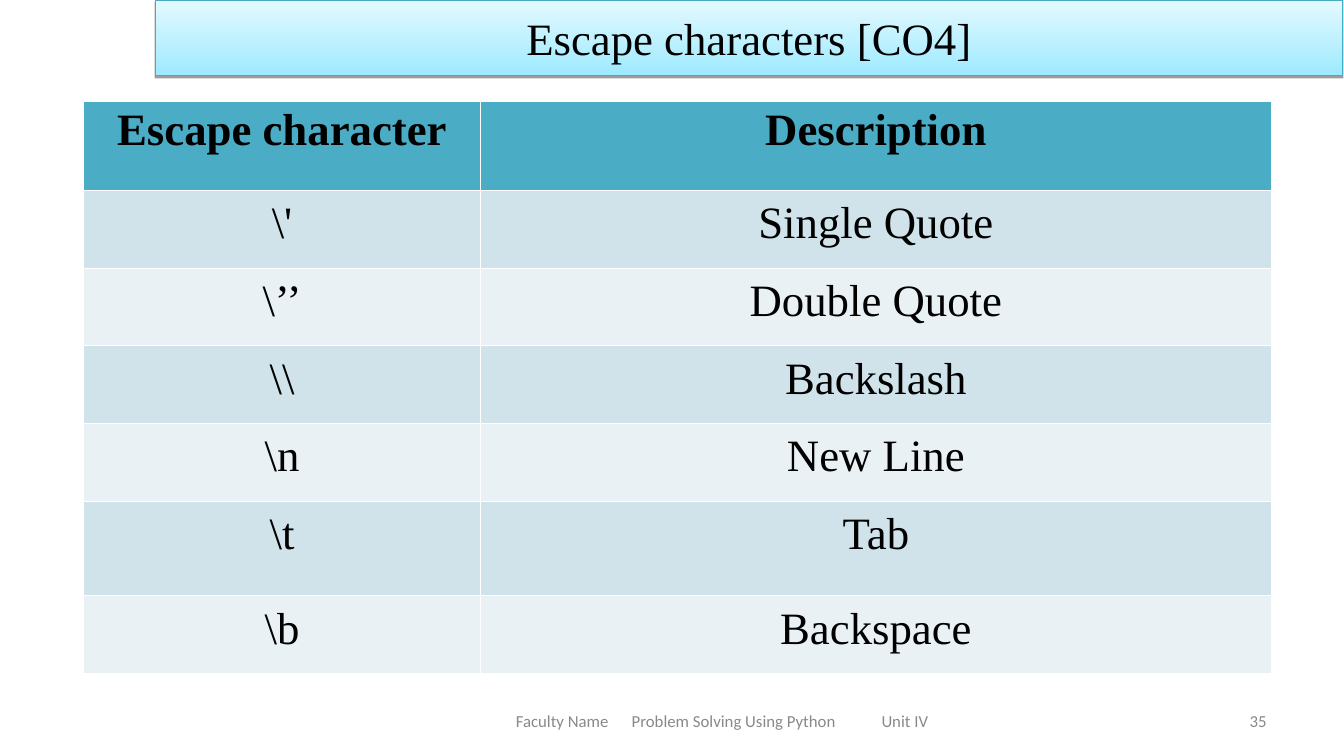
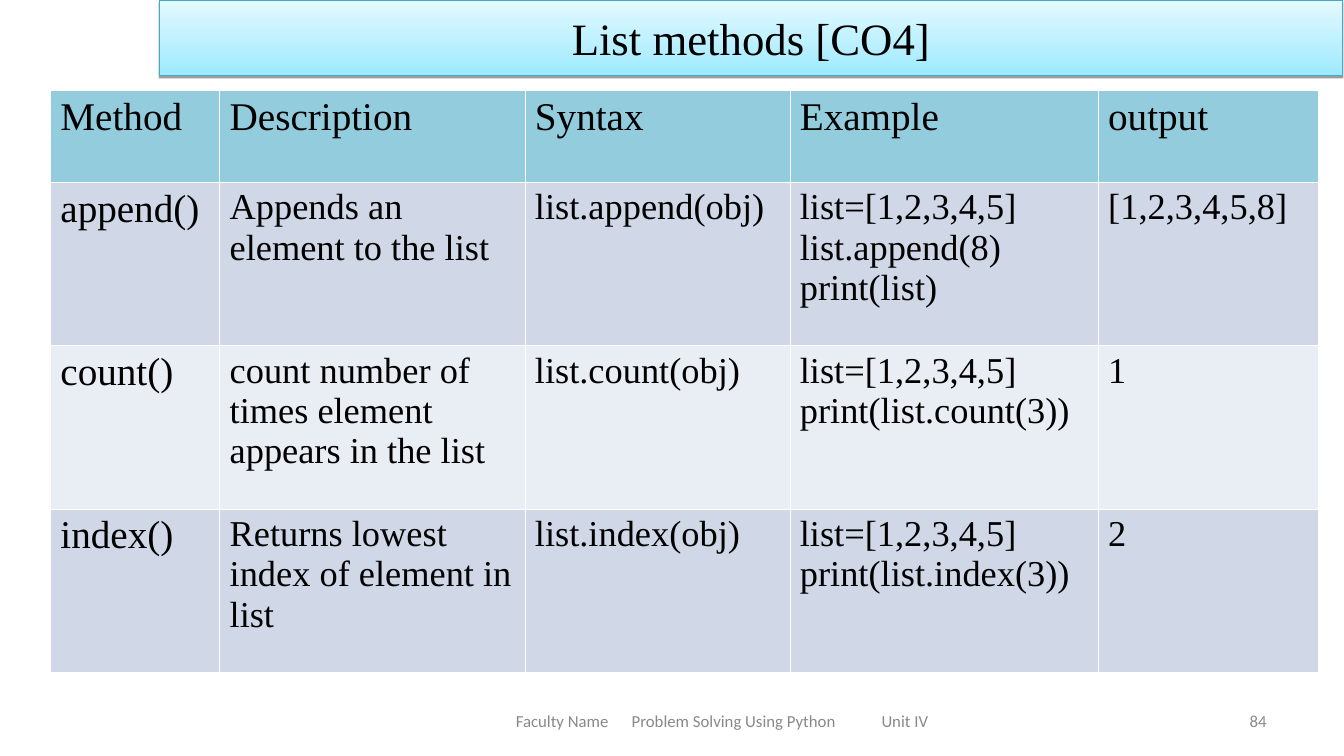
import pptx
import pptx.util
import pptx.dml.color
import pptx.enum.shapes
import pptx.enum.text
import pptx.oxml
import pptx.oxml.ns

EMU_PER_PX = 9144
SLIDE_WIDTH, SLIDE_HEIGHT = 1334, 750
SERIF, SANS = "Times New Roman", "Calibri"
BLACK, GREY, WHITE = "000000", "898989", "FFFFFF"
BAND_TOP, BAND_BOTTOM, BAND_LINE = "E4F9FF", "9EEAFF", "46AAC5"
BAND_HEIGHT = 75
FOOTER_TOP, FOOTER_HEIGHT = 695, 40
FOOTER = "Faculty Name\tProblem Solving Using Python\tUnit IV"
FOOTER_TABS = (115, 363)
THIN, THICK = 0.45, 1.47
ALIGN = pptx.enum.text.PP_ALIGN

SLIDES = [
    {
        "title": "Escape characters [CO4]",
        "band_left": 154,
        "number": "35",
        "table_at": (83, 100),
        "columns": (394, 785),
        "row_heights": (89, 77, 77, 77, 77, 94, 77),
        "fills": ("4BACC6", "D0E3EA", "E9F1F5"),
        "align": ALIGN.CENTER,
        "sizes": {"header": 32, "first": 32, "other": 32},
        "bold_header": True,
        "line_spacing": 1.07,
        "rows": [
            ("Escape character", "Description"),
            (r"\'", "Single Quote"),
            (r"\’’", "Double Quote"),
            (r"\\", "Backslash"),
            (r"\n", "New Line"),
            (r"\t", "Tab"),
            (r"\b", "Backspace"),
        ],
    },
    {
        "title": "List methods [CO4]",
        "band_left": 158,
        "number": "84",
        "table_at": (50, 90),
        "columns": (168, 303, 263, 306, 219),
        "row_heights": (91, 162, 162, 162),
        "fills": ("93CDDD", "D0D8E8", "E9EDF4"),
        "align": ALIGN.LEFT,
        "sizes": {"header": 28, "first": 28, "other": 26},
        "bold_header": False,
        "line_spacing": 1.0,
        "rows": [
            ("Method", "Description", "Syntax", "Example", "output"),
            ("append()", "Appends an element to the list", "list.append(obj)",
             "list=[1,2,3,4,5]\nlist.append(8)\nprint(list)", "[1,2,3,4,5,8]"),
            ("count()", "count number of times element appears in the list",
             "list.count(obj)", "list=[1,2,3,4,5]\nprint(list.count(3))", "1"),
            ("index()", "Returns lowest index of element in list",
             "list.index(obj)", "list=[1,2,3,4,5]\nprint(list.index(3))", "2"),
        ],
    },
]


def px(length):
    return pptx.util.Emu(length * EMU_PER_PX)


def rgb(value):
    return pptx.dml.color.RGBColor.from_string(value)


def xml(tag, body):
    return pptx.oxml.parse_xml(
        f'<a:{tag} {pptx.oxml.ns.nsdecls("a")} {body}')


def style_text(text_frame, font_name, size, color, align, bold=False, spacing=1.0):
    for paragraph in text_frame.paragraphs:
        paragraph.alignment = align
        paragraph.line_spacing = spacing
        for run in paragraph.runs:
            run.font.name = font_name
            run.font.size = pptx.util.Pt(size)
            run.font.bold = bold
            run.font.color.rgb = rgb(color)


def set_borders(cell, top, bottom):
    properties = cell._tc.get_or_add_tcPr()
    sides = (("lnL", THIN), ("lnR", THIN), ("lnT", top), ("lnB", bottom))
    for index, (side, width) in enumerate(sides):
        properties.insert(index, xml(
            side, f'w="{pptx.util.Pt(width)}"><a:solidFill><a:srgbClr val="{WHITE}"/>'
                  f'</a:solidFill></a:{side}>'))


def add_content_table(slide, content):
    rows, columns, heights = content["rows"], content["columns"], content["row_heights"]
    left, top = content["table_at"]
    table = slide.shapes.add_table(
        len(rows), len(columns), px(left), px(top),
        px(sum(columns)), px(sum(heights))).table
    table.first_row = table.horz_banding = False
    for column, width in zip(table.columns, columns):
        column.width = px(width)
    header_fill, *band_fills = content["fills"]
    for r, texts in enumerate(rows):
        table.rows[r].height = px(heights[r])
        for c, text in enumerate(texts):
            cell = table.cell(r, c)
            cell.text_frame.text = text
            cell.fill.solid()
            cell.fill.fore_color.rgb = rgb(band_fills[(r - 1) % 2] if r else header_fill)
            set_borders(cell, THICK if r == 1 else THIN, THICK if r == 0 else THIN)
            role = "header" if r == 0 else "first" if c == 0 else "other"
            style_text(cell.text_frame, SERIF, content["sizes"][role], BLACK,
                       content["align"], content["bold_header"] and r == 0,
                       content["line_spacing"] if r else 1.0)


def add_title_band(slide, title, left):
    band = slide.shapes.add_shape(
        pptx.enum.shapes.MSO_SHAPE.RECTANGLE, px(left), px(0),
        px(SLIDE_WIDTH - 1 - left), px(BAND_HEIGHT))
    band.fill.gradient()
    band.fill.gradient_angle = 90
    for stop, position, color in zip(band.fill.gradient_stops, (0, 1), (BAND_BOTTOM, BAND_TOP)):
        stop.position = position
        stop.color.rgb = rgb(color)
    band.line.color.rgb = rgb(BAND_LINE)
    band.line.width = pptx.util.Pt(0.75)
    band.shadow.inherit = False
    effects = band._element.spPr.find(pptx.oxml.ns.qn("a:effectLst"))
    effects.append(xml(
        "outerShdw", f'dist="{pptx.util.Pt(1.6)}" dir="5400000" rotWithShape="0">'
                     f'<a:srgbClr val="{BLACK}"><a:alpha val="38000"/></a:srgbClr></a:outerShdw>'))
    band.text_frame.vertical_anchor = pptx.enum.text.MSO_ANCHOR.MIDDLE
    band.text_frame.text = title
    style_text(band.text_frame, SERIF, 32, BLACK, ALIGN.CENTER)


def add_footer_text(slide, text, left, width, align, inset=10, tabs=()):
    box = slide.shapes.add_textbox(px(left), px(FOOTER_TOP), px(width), px(FOOTER_HEIGHT))
    text_frame = box.text_frame
    text_frame.word_wrap = True
    text_frame.vertical_anchor = pptx.enum.text.MSO_ANCHOR.MIDDLE
    text_frame.margin_left = px(inset)
    text_frame.text = text
    if tabs:
        stops = "".join(f'<a:tab pos="{px(tab)}" algn="l"/>' for tab in tabs)
        text_frame.paragraphs[0]._p.get_or_add_pPr().append(
            xml("tabLst", f">{stops}</a:tabLst>"))
    style_text(text_frame, SANS, 12, GREY, align)


def main():
    presentation = pptx.Presentation()
    presentation.slide_width, presentation.slide_height = px(SLIDE_WIDTH), px(SLIDE_HEIGHT)
    for content in SLIDES:
        slide = presentation.slides.add_slide(presentation.slide_layouts[6])
        add_content_table(slide, content)
        add_footer_text(slide, content["number"], 956, 311, ALIGN.RIGHT)
        add_title_band(slide, content["title"], content["band_left"])
        add_footer_text(slide, FOOTER, 442, 550, ALIGN.LEFT, 70, FOOTER_TABS)
    presentation.save("out.pptx")


if __name__ == "__main__":
    main()
